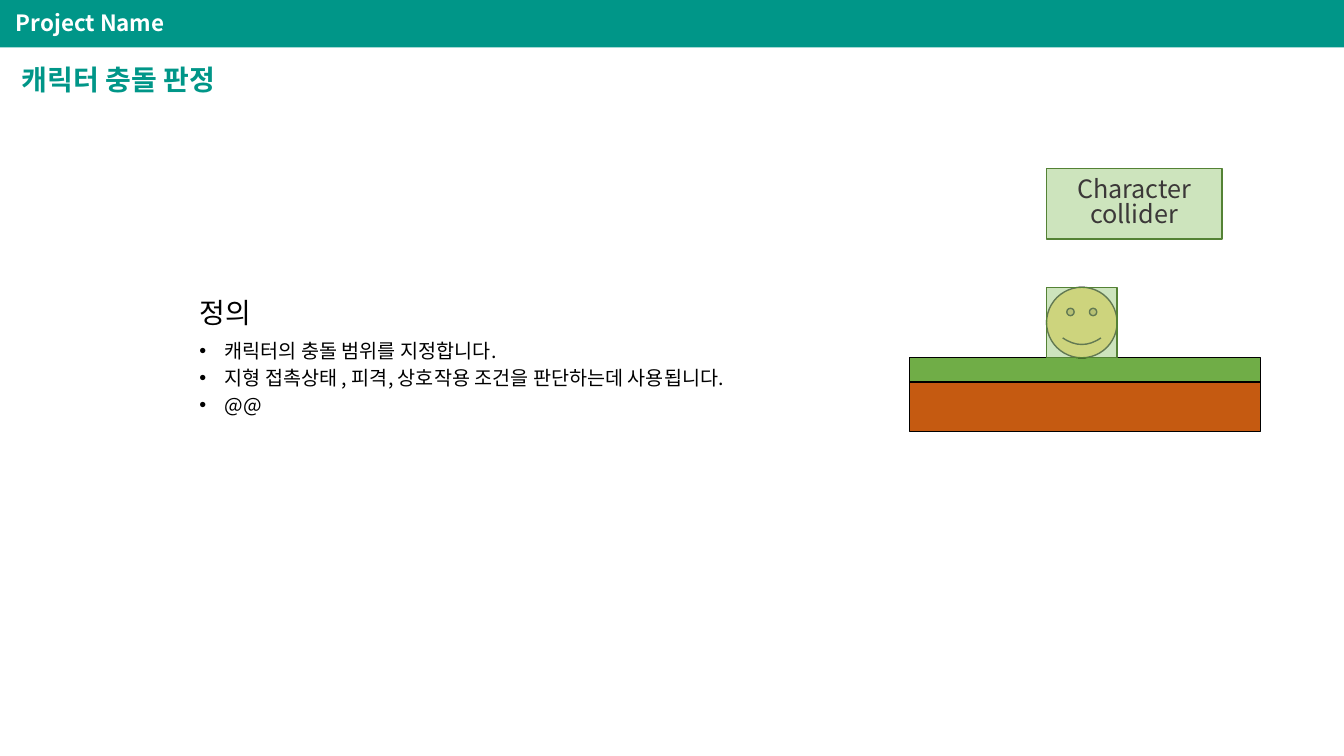
from dataclasses import dataclass

from lxml import etree
from pptx import Presentation
from pptx.dml.color import RGBColor
from pptx.enum.shapes import MSO_SHAPE
from pptx.enum.text import MSO_ANCHOR, PP_ALIGN
from pptx.oxml.ns import qn
from pptx.util import Emu, Pt

RECTANGLE = MSO_SHAPE.RECTANGLE
SMILEY = MSO_SHAPE.SMILEY_FACE
TOP = MSO_ANCHOR.TOP
MIDDLE = MSO_ANCHOR.MIDDLE
LEFT = PP_ALIGN.LEFT
CENTER = PP_ALIGN.CENTER

EMU_PER_PX = 9144
FONT = "Noto Sans CJK KR"
TEAL = "009688"
BLACK = "000000"
COLLIDER_FILL = "A9D18E"
COLLIDER_LINE = "548235"
COLLIDER_OPACITY = 58
GROUND_LEFT, GROUND_WIDTH = 902, 348
GRASS_TOP, GRASS_HEIGHT, SOIL_HEIGHT = 355, 24, 49
COLLIDER_LEFT, COLLIDER_SIZE = 1038, 70


@dataclass(frozen=True)
class Area:
    left: int
    top: int
    width: int
    height: int


@dataclass(frozen=True)
class Block:
    area: Area
    fill: str
    line: str | None = BLACK
    opacity: int = 100
    kind: MSO_SHAPE = RECTANGLE


@dataclass(frozen=True)
class Style:
    size: int
    color: str
    bold: bool = False
    spacing: float = 0.9
    before: float = 0
    align: PP_ALIGN = LEFT
    bullet: bool = False


@dataclass(frozen=True)
class Label:
    area: Area
    lines: tuple[str, ...]
    style: Style
    anchor: MSO_ANCHOR = MIDDLE


CHARACTER = Area(COLLIDER_LEFT, GRASS_TOP - COLLIDER_SIZE, COLLIDER_SIZE, COLLIDER_SIZE)
LEGEND = Area(COLLIDER_LEFT, 167, 174, COLLIDER_SIZE)

BLOCKS = (
    Block(Area(0, 0, 1333, 47), TEAL, None),
    Block(Area(GROUND_LEFT, GRASS_TOP, GROUND_WIDTH, GRASS_HEIGHT), "70AD47"),
    Block(Area(GROUND_LEFT, GRASS_TOP + GRASS_HEIGHT, GROUND_WIDTH, SOIL_HEIGHT), "C55A11"),
    Block(CHARACTER, "FFD966", kind=SMILEY),
    Block(CHARACTER, COLLIDER_FILL, COLLIDER_LINE, COLLIDER_OPACITY),
    Block(LEGEND, COLLIDER_FILL, COLLIDER_LINE, COLLIDER_OPACITY),
)

LABELS = (
    Label(Area(6, 5, 1149, 38), ("Project Name",), Style(16, "FFFFFF", bold=True)),
    Label(Area(12, 48, 574, 65), ("캐릭터 충돌 판정",), Style(20, TEAL, bold=True)),
    Label(Area(188, 292, 203, 43), ("정의",), Style(20, BLACK, before=10), TOP),
    Label(
        Area(188, 338, 750, 91),
        (
            "캐릭터의 충돌 범위를 지정합니다.",
            "지형 접촉상태 , 피격, 상호작용 조건을 판단하는데 사용됩니다.",
            "@@",
        ),
        Style(14, BLACK, spacing=0.7, before=7.5, bullet=True),
        TOP,
    ),
    Label(LEGEND, ("Character", "collider"), Style(18, "3B3838", spacing=0.82, align=CENTER)),
)


def px(length: int) -> Emu:
    return Emu(length * EMU_PER_PX)


def place(area: Area) -> tuple[Emu, Emu, Emu, Emu]:
    return px(area.left), px(area.top), px(area.width), px(area.height)


def rgb(color: str) -> RGBColor:
    return RGBColor.from_string(color)


def draw_block(page, block: Block) -> None:
    shape = page.shapes.add_shape(block.kind, *place(block.area))
    shape.shadow.inherit = False
    shape.fill.solid()
    shape.fill.fore_color.rgb = rgb(block.fill)
    if block.opacity < 100:
        color = shape.fill._xPr.find(qn("a:solidFill"))[0]
        etree.SubElement(color, qn("a:alpha"), val=str(block.opacity * 1000))
    if block.line is None:
        shape.line.fill.background()
    else:
        shape.line.color.rgb = rgb(block.line)
        shape.line.width = Pt(1)


def add_bullet(para) -> None:
    properties = para._p.get_or_add_pPr()
    indent = px(25)
    properties.set("marL", str(indent))
    properties.set("indent", str(-indent))
    etree.SubElement(properties, qn("a:buFont"), typeface="Arial")
    etree.SubElement(properties, qn("a:buChar"), char="•")


def add_line(para, text: str, style: Style) -> None:
    para.alignment = style.align
    para.line_spacing = style.spacing
    para.space_before = Pt(style.before)
    if style.bullet:
        add_bullet(para)
    span = para.add_run()
    span.text = text
    span.font.name = FONT
    span.font.size = Pt(style.size)
    span.font.bold = style.bold
    span.font.color.rgb = rgb(style.color)
    etree.SubElement(span.font._element, qn("a:ea"), typeface=FONT)


def draw_label(page, label: Label) -> None:
    box = page.shapes.add_textbox(*place(label.area))
    frame = box.text_frame
    frame.word_wrap = True
    frame.vertical_anchor = label.anchor
    for index, text in enumerate(label.lines):
        para = frame.add_paragraph() if index else frame.paragraphs[0]
        add_line(para, text, label.style)


def main() -> None:
    deck = Presentation()
    deck.slide_width, deck.slide_height = px(1333), px(750)
    page = deck.slides.add_slide(deck.slide_layouts[6])
    for block in BLOCKS:
        draw_block(page, block)
    for label in LABELS:
        draw_label(page, label)
    deck.save("out.pptx")


if __name__ == "__main__":
    main()
